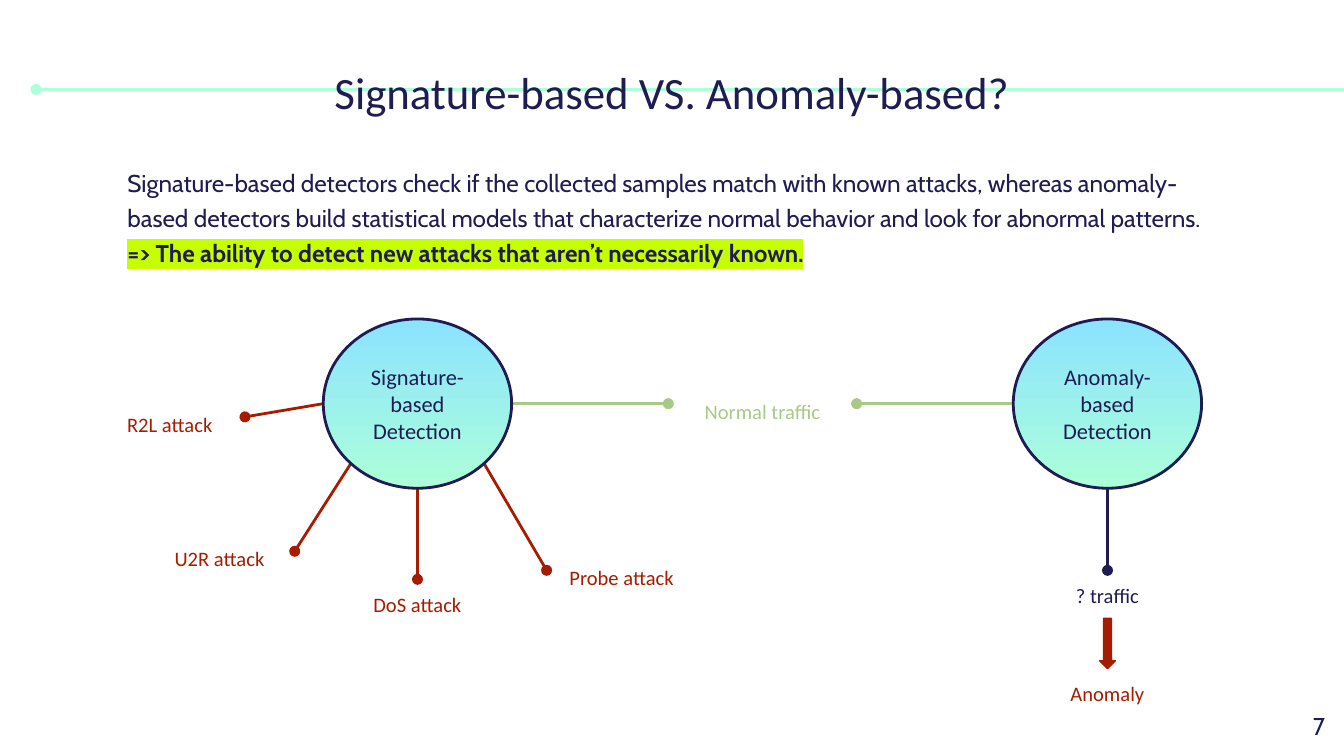
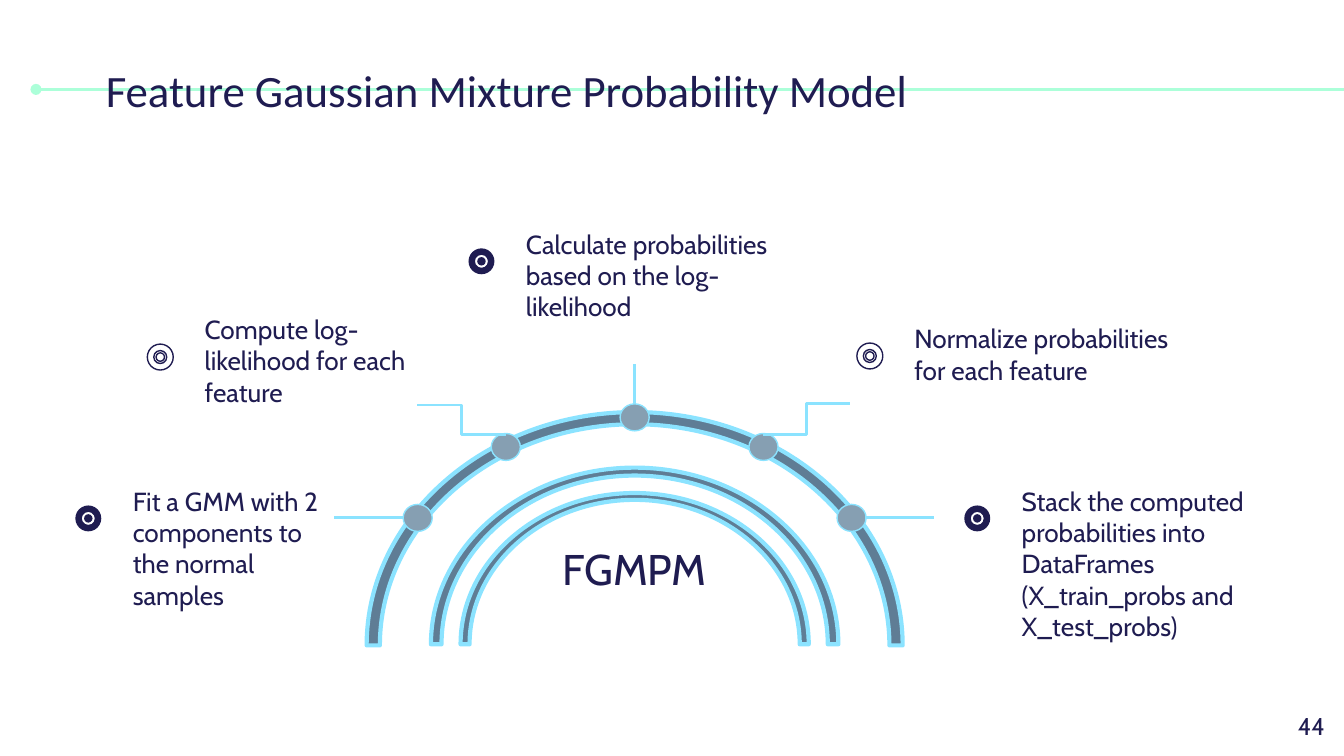
import math
from dataclasses import dataclass

import pptx
import pptx.dml.color
import pptx.enum.shapes
import pptx.enum.text
import pptx.oxml
import pptx.oxml.ns
import pptx.util

Cm, Pt = pptx.util.Cm, pptx.util.Pt
Form = pptx.enum.shapes.MSO_SHAPE
Link = pptx.enum.shapes.MSO_CONNECTOR
Align = pptx.enum.text.PP_ALIGN
Anchor = pptx.enum.text.MSO_ANCHOR


@dataclass(frozen=True)
class Theme:
    navy: str = "1F1C51"
    mint: str = "ACFFD9"
    sky: str = "8BE3FF"
    red: str = "A61C00"
    green: str = "A8C987"
    lime: str = "C6FF00"
    steel: str = "5F7D95"
    haze: str = "869FB2"
    white: str = "FFFFFF"
    head: str = "Calibri"
    body: str = "Cabin"
    title: int = 24
    hub: int = 23
    step: int = 14
    lead: int = 13
    node: int = 12
    label: int = 11


@dataclass(frozen=True)
class Box:
    """Left, top, width and height in centimetres."""
    x: float
    y: float
    w: float
    h: float

    @property
    def mid(self):
        return self.x + self.w / 2, self.y + self.h / 2

    @property
    def cm(self):
        return Cm(self.x), Cm(self.y), Cm(self.w), Cm(self.h)


THEME = Theme()
PAGE = Box(0, 0, 25.4, 14.29)


def rgb(color):
    return pptx.dml.color.RGBColor.from_string(color)


def element(tag, inner="", **attrs):
    """Drawing element in the a: namespace."""
    words = "".join(f' {key}="{value}"' for key, value in attrs.items())
    space = pptx.oxml.ns.nsdecls("a")
    return pptx.oxml.parse_xml(f"<a:{tag} {space}{words}>{inner}</a:{tag}>")


def around(x, y, w, h):
    """Box of the given size centred on a point."""
    return Box(x - w / 2, y - h / 2, w, h)


def write(shape, runs, size, color=THEME.navy, font=THEME.head,
          align=Align.LEFT, anchor=Anchor.TOP):
    frame = shape.text_frame
    frame.word_wrap = True
    frame.vertical_anchor = anchor
    frame.margin_left = frame.margin_right = Cm(0.25)
    frame.margin_top = frame.margin_bottom = Cm(0.25)
    para = frame.paragraphs[0]
    para.alignment = align
    para.font.name, para.font.size = font, Pt(size)
    para.font.color.rgb = rgb(color)
    for text in runs:
        para.add_run().text = text
    return para


def text(slide, box, words, size, **style):
    return write(slide.shapes.add_textbox(*box.cm), [words], size, **style)


def paint(shape, fill=None, line=None, width=0.75):
    shape.shadow.inherit = False
    if fill:
        shape.fill.solid()
        shape.fill.fore_color.rgb = rgb(fill)
    if line:
        shape.line.color.rgb = rgb(line)
        shape.line.width = Pt(width)
    else:
        shape.line.fill.background()
    return shape


def draw(slide, form, box, fill=None, line=None, width=0.75):
    return paint(slide.shapes.add_shape(form, *box.cm), fill, line, width)


def join(slide, start, end, color, kind=Link.STRAIGHT, dot=None):
    """Connector; dot is headEnd or tailEnd for a round end."""
    wire = slide.shapes.add_connector(kind, *map(Cm, start + end))
    wire.line.color.rgb = rgb(color)
    wire.line.width = Pt(1.5)
    if dot:
        wire.line._get_or_add_ln().append(element(dot, type="oval"))
    wire._element.spPr.append(element("effectLst"))


def mark(run, color):
    run._r.get_or_add_rPr().append(
        element("highlight", f'<a:srgbClr val="{color}"/>'))


def base(deck, title, box, number, align=Align.LEFT):
    """New slide with the rail, title and page number."""
    slide = deck.slides.add_slide(deck.slide_layouts[6])
    join(slide, (0.68, 1.69), (PAGE.w, 1.69), THEME.mint, dot="headEnd")
    text(slide, box, title, THEME.title, align=align)
    text(slide, Box(PAGE.w - 1.63, PAGE.h - 1.1, 1.52, 1.09), str(number),
         THEME.lead, font=THEME.body, align=Align.RIGHT)
    return slide


def label(slide, x, y, words, color, width=2.84):
    """Centred label whose top middle is at x, y."""
    text(slide, Box(x - width / 2, y, width, 0.74), words, THEME.label,
         color=color, align=Align.CENTER)


def node(slide, box, words, spokes):
    """Round node; spokes are (edge angle, tip from centre, label, color)."""
    cx, cy = box.mid
    for angle, (dx, dy), name, color in spokes:
        turn = math.radians(angle)
        edge = (cx + box.w / 2 * math.cos(turn),
                cy + box.h / 2 * math.sin(turn))
        tip = (cx + dx, cy + dy)
        join(slide, edge, tip, color, dot="tailEnd")
        if not name:
            continue
        width = 3.56 if dy == 0 else 2.84
        side = (dx > 0) - (dx < 0)
        label(slide, tip[0] + side * width / 2,
              tip[1] - 0.34 * abs(side) + 0.01, name, color, width)
    disc = draw(slide, Form.OVAL, box, line=THEME.navy, width=1.5)
    disc.fill.gradient()
    disc.fill.gradient_angle = 270
    for stop, color in zip(disc.fill.gradient_stops, (THEME.sky, THEME.mint)):
        stop.color.rgb = rgb(color)
    write(disc, [words], THEME.node, align=Align.CENTER, anchor=Anchor.MIDDLE)


def verdict(slide, box):
    """Down arrow with the outcome below it."""
    draw(slide, Form.DOWN_ARROW, box, THEME.red, THEME.red)
    label(slide, box.mid[0], box.y + box.h, "Anomaly", THEME.red)


def lead(slide, box):
    para = write(slide.shapes.add_textbox(*box.cm), [
        "Signature-based detectors check if the collected samples match with "
        "known attacks, whereas anomaly-based detectors build statistical "
        "models that characterize normal behavior and look for abnormal "
        "patterns. ",
        "=> The ability to detect new attacks that aren’t necessarily known.",
    ], THEME.lead, font=THEME.body)
    para.line_spacing = 1.2
    para.runs[1].font.bold = True
    mark(para.runs[1], THEME.lime)


def versus(deck):
    slide = base(deck, "Signature-based VS. Anomaly-based?",
                 Box(4.25, 0.97, 16.89, 1.5), 7, Align.CENTER)
    lead(slide, Box(2.16, 2.82, 21.08, 1.5))
    node(slide, Box(6.11, 6.03, 3.56, 3.2), "Signature-based Detection", [
        (180, (-3.26, 0.25), "R2L attack", THEME.red),
        (135, (-2.32, 2.79), "U2R attack", THEME.red),
        (90, (0, 3.32), "DoS attack", THEME.red),
        (45, (2.44, 3.15), "Probe attack", THEME.red),
        (0, (4.74, 0), "Normal traffic", THEME.green)])
    node(slide, Box(19.15, 6.03, 3.56, 3.2), "Anomaly-based Detection", [
        (180, (-4.74, 0), None, THEME.green),
        (90, (0, 3.15), "? traffic", THEME.navy)])
    verdict(slide, Box(20.78, 11.69, 0.3, 0.95))


def bend(shape, starts):
    """Turn each three line segments from the given indexes into a curve."""
    lines = list(shape._element.iter(pptx.oxml.ns.qn("a:lnTo")))
    for start in starts:
        trio = lines[start:start + 3]
        curve = element("cubicBezTo")
        trio[0].addprevious(curve)
        for line in trio:
            curve.append(line[0])
            line.getparent().remove(line)


def arch(slide, box, side, top):
    """Half ring filling the box, with its thickness at the side and top."""
    cx, foot = box.mid[0], box.y + box.h
    pull = 0.55
    rise = [(-1, 0), (-1, pull), (-pull, 1), (0, 1)]
    fall = [(-x, y) for x, y in rise[::-1]]

    def place(points, rx, ry):
        return [(Cm(cx + x * rx), Cm(foot - y * ry)) for x, y in points]

    rx, ry = box.w / 2, box.h
    left = place(rise[::-1], rx, ry)
    inner = place(rise + fall[1:], rx - side, ry - top)
    right = place(fall[::-1], rx, ry)
    pen = slide.shapes.build_freeform(*left[0])
    pen.add_line_segments(left[1:] + inner + right, close=True)
    shape = pen.convert_to_shape()
    bend(shape, (0, 4, 7, 11))
    return paint(shape, THEME.steel, THEME.sky, 2.25)


def bridge(slide, box):
    """Three nested arches, with leaders from dots on the outer one."""
    cx, foot = box.mid[0], box.y + box.h
    arch(slide, box, 0.25, 0.23)
    leads = [(-56, (-0.26, 0), (-1.32, 0)),
             (-29.5, (0, -0.24), (-1.67, -0.55)),
             (0, (0, -0.26), (0, -0.75)),
             (29.5, (0, -0.24), (1.64, -0.58)),
             (56, (0.26, 0), (1.3, 0))]
    for angle, (sx, sy), (dx, dy) in leads:
        turn = math.radians(angle)
        x = cx + (box.w / 2 - 0.12) * math.sin(turn)
        y = foot - (box.h - 0.1) * math.cos(turn)
        draw(slide, Form.OVAL, around(x, y, 0.55, 0.51), THEME.haze, THEME.sky)
        start = (x + sx, y + sy)
        join(slide, start, (start[0] + dx, start[1] + dy), THEME.sky,
             Link.ELBOW)
    for w, h, side, top in [(7.7, 3.34, 0.2, 0.15), (6.58, 2.86, 0.17, 0.13)]:
        ring = arch(slide, Box(cx - w / 2, foot - 0.02 - h, w, h), side, top)
    write(ring, ["FGMPM"], THEME.hub, font=THEME.body, align=Align.CENTER,
          anchor=Anchor.MIDDLE)


def step(slide, box, words, hollow=False, drop=0.88):
    """Text with a target icon to its left, drop below the box top."""
    fill = THEME.white if hollow else THEME.navy
    line = THEME.navy if hollow else None
    x, y = box.x - 0.59, box.y + drop
    draw(slide, Form.OVAL, around(x, y, 0.16, 0.16), fill, line)
    draw(slide, Form.DONUT, around(x, y, 0.49, 0.49), fill, line)
    text(slide, box, words, THEME.step, font=THEME.body)


def model(deck):
    slide = base(deck, "Feature Gaussian Mixture Probability Model",
                 Box(1.75, 0.94, 18.75, 1.5), 44)
    bridge(slide, Box(6.93, 7.79, 10.13, 4.41))
    step(slide, Box(2.26, 8.92, 4.09, 1.8),
         "Fit a GMM with 2 components to the normal samples")
    step(slide, Box(3.62, 5.67, 4.65, 1.8),
         "Compute log-likelihood for each feature", True, 1.08)
    step(slide, Box(9.69, 4.06, 5.49, 1.8),
         "Calculate probabilities based on the log-likelihood")
    step(slide, Box(17.03, 5.85, 5.49, 1.8),
         "Normalize probabilities for each feature", True)
    step(slide, Box(19.06, 8.92, 5.49, 1.8),
         "Stack the computed probabilities into DataFrames "
         "(X_train_probs and X_test_probs)")


def main():
    deck = pptx.Presentation()
    deck.slide_width, deck.slide_height = Cm(PAGE.w), Cm(PAGE.h)
    versus(deck)
    model(deck)
    deck.save("out.pptx")


if __name__ == "__main__":
    main()
